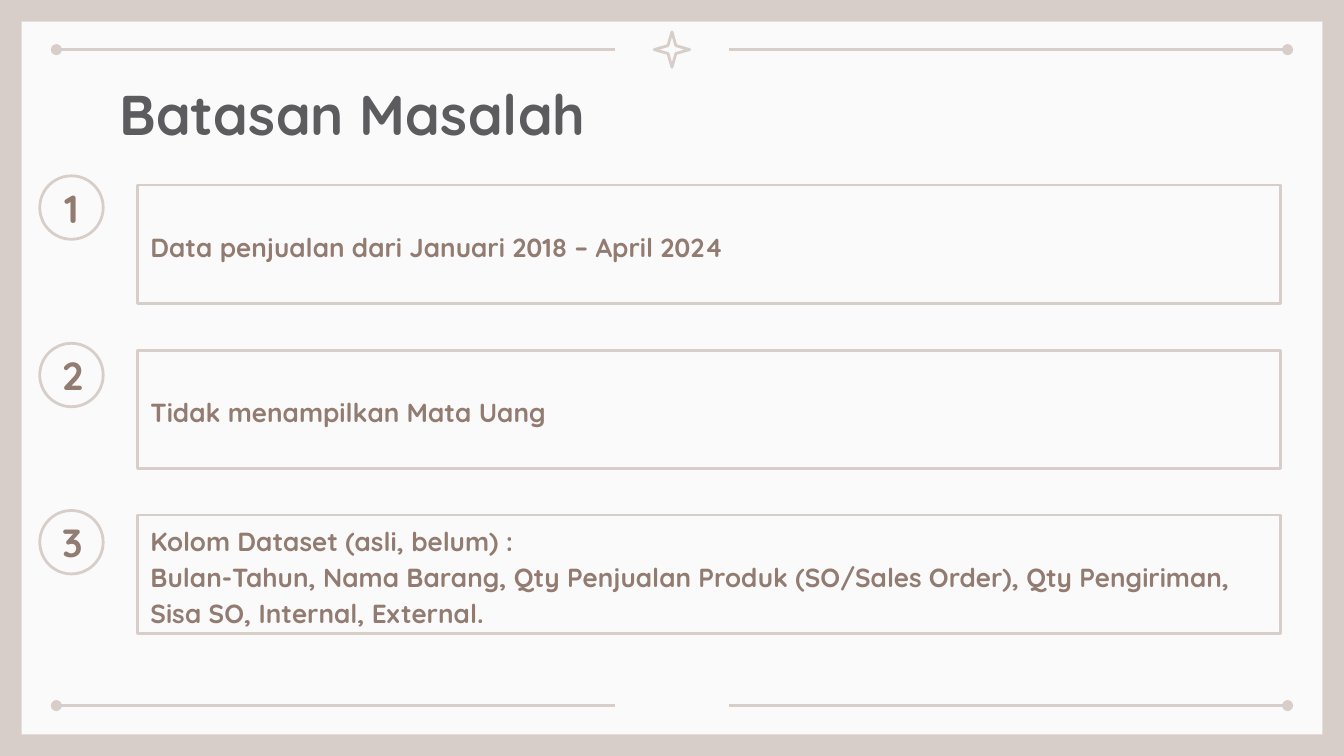
from dataclasses import dataclass
from typing import Any

from lxml.etree import SubElement
from pptx import Presentation
from pptx.dml.color import RGBColor
from pptx.enum.shapes import MSO_CONNECTOR, MSO_SHAPE
from pptx.enum.text import MSO_ANCHOR, PP_ALIGN
from pptx.oxml.ns import qn
from pptx.util import Pt


@dataclass(frozen=True)
class Theme:
    frame: RGBColor = RGBColor(0xD8, 0xCE, 0xC9)
    paper: RGBColor = RGBColor(0xFA, 0xFA, 0xFA)
    title: RGBColor = RGBColor(0x5C, 0x5C, 0x5F)
    text: RGBColor = RGBColor(0x92, 0x7C, 0x71)
    font: str = "Quicksand"
    title_size: float = 30
    number_size: float = 21
    body_size: float = 14
    line_width: float = 1.5
    inset: float = 7.2


@dataclass(frozen=True)
class Limit:
    number: str
    circle_top: float
    box_top: float
    lines: tuple[str, ...]


T = Theme()
W, H = 720, 405

LIMITS = [
    Limit("1", 94.2, 99.1, ("Data penjualan dari Januari 2018 – April 2024",)),
    Limit("2", 183.9, 187.6, ("Tidak menampilkan Mata Uang",)),
    Limit("3", 273.5, 275.9, (
        "Kolom Dataset (asli, belum) :",
        "Bulan-Tahun, Nama Barang, Qty Penjualan Produk (SO/Sales Order), "
        "Qty Pengiriman, Sisa SO, Internal, External.",
    )),
]


def apply(target: Any, formats: dict[str, Any]) -> None:
    for name, value in formats.items():
        setattr(target, name, value)


def add_outline(s: Any, kind: MSO_SHAPE, x: float, y: float, w: float, h: float) -> Any:
    sp = s.shapes.add_shape(kind, Pt(x), Pt(y), Pt(w), Pt(h))
    sp.shadow.inherit = False
    sp.fill.background()
    sp.line.color.rgb = T.frame
    sp.line.width = Pt(T.line_width)
    return sp


def write(sp: Any, lines: tuple[str, ...], size: float, color: RGBColor,
          anchor: MSO_ANCHOR, **paragraph: Any) -> None:
    tf = sp.text_frame
    sides = ("left", "top", "right", "bottom")
    apply(tf, {f"margin_{side}": Pt(T.inset) for side in sides})
    apply(tf, {"word_wrap": True, "vertical_anchor": anchor})
    for i, line in enumerate(lines):
        p = tf.paragraphs[0] if i == 0 else tf.add_paragraph()
        apply(p, {"alignment": PP_ALIGN.LEFT, **paragraph})
        r = p.add_run()
        r.text = line
        apply(r.font, {"name": T.font, "size": Pt(size), "bold": True})
        r.font.color.rgb = color


def add_rule(s: Any, x1: float, x2: float, y: float, dot: str) -> None:
    """Draw a horizontal line with a dot at its headEnd or tailEnd."""
    c = s.shapes.add_connector(MSO_CONNECTOR.STRAIGHT, Pt(x1), Pt(y), Pt(x2), Pt(y))
    c.line.color.rgb = T.frame
    c.line.width = Pt(T.line_width)
    SubElement(c.line._get_or_add_ln(), qn(f"a:{dot}"), type="oval")
    SubElement(c._element.spPr, qn("a:effectLst"))


def add_limit(s: Any, item: Limit) -> None:
    circle = add_outline(s, MSO_SHAPE.OVAL, 21.3, item.circle_top, 34, 34)
    write(circle, (item.number,), T.number_size, T.text, MSO_ANCHOR.MIDDLE,
          alignment=PP_ALIGN.CENTER)
    box = add_outline(s, MSO_SHAPE.RECTANGLE, 73.5, item.box_top, 612.6, 63.6)
    write(box, item.lines, T.body_size, T.text, MSO_ANCHOR.MIDDLE, line_spacing=1.15)


def main() -> None:
    prs = Presentation()
    apply(prs, {"slide_width": Pt(W), "slide_height": Pt(H)})
    s = prs.slides.add_slide(prs.slide_layouts[6])

    # Frame and paper
    s.background.fill.solid()
    s.background.fill.fore_color.rgb = T.frame
    edge = 11.6
    paper = add_outline(s, MSO_SHAPE.RECTANGLE, edge, edge, W - 2 * edge, H - 2 * edge)
    paper.fill.solid()
    paper.fill.fore_color.rgb = T.paper
    paper.line.fill.background()

    # Mirrored rules and star
    outer, inner = 30.2, 329.6
    for y in (26.6, 378):
        add_rule(s, outer, inner, y, "headEnd")
        add_rule(s, W - inner, W - outer, y, "tailEnd")
    star = add_outline(s, MSO_SHAPE.STAR_4_POINT, 350.5, 17.1, 19, 19)
    star.adjustments[0] = 0.157

    # Title
    title = s.shapes.add_textbox(Pt(56.9), Pt(35.3), Pt(607), Pt(45.4))
    write(title, ("Batasan Masalah",), T.title_size, T.title, MSO_ANCHOR.TOP)

    # Numbered limits
    for item in LIMITS:
        add_limit(s, item)

    prs.save("out.pptx")


if __name__ == "__main__":
    main()
